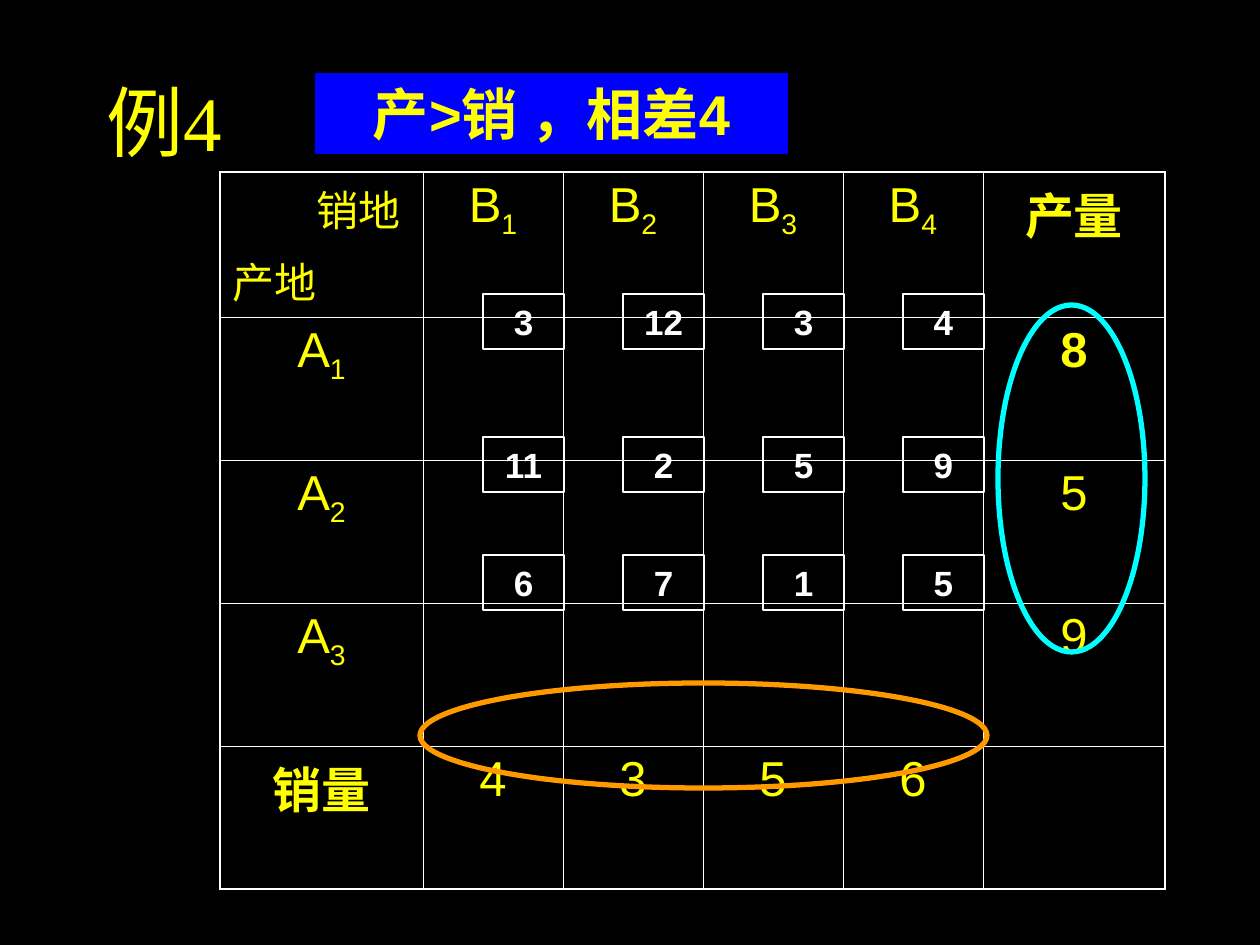
"""Build the unbalanced transportation problem slide with its cost table."""
import pptx
import pptx.dml.color
import pptx.enum.shapes
import pptx.enum.text
import pptx.oxml
import pptx.oxml.ns
import pptx.util

PX = 914400 / 126
COLORS = {"black": "000000", "white": "FFFFFF", "yellow": "FFFF00",
          "blue": "0000FF", "orange": "FF9900", "cyan": "00FFFF"}
ALIGN = pptx.enum.text.PP_ALIGN
SHAPE = pptx.enum.shapes.MSO_SHAPE


def px(*values):
    return [pptx.util.Emu(round(v * PX)) for v in values]


def write(p, text, sub="", size=28, font="Arial", color="yellow", bold=False, align=ALIGN.CENTER):
    p.alignment = align
    for part, baseline in ((text, 0), (sub, -25000)):
        if part:
            r = p.add_run()
            r.text = part
            r.font.size = pptx.util.Pt(size)
            r.font.name = font
            r.font.bold = bold
            r.font.color.rgb = pptx.dml.color.RGBColor.from_string(COLORS[color])
            if baseline:
                r.font._element.set("baseline", str(baseline))


prs = pptx.Presentation()
prs.slide_width, prs.slide_height = px(1260, 945)
s = prs.slides.add_slide(prs.slide_layouts[6])
s.background.fill.solid()
s.background.fill.fore_color.rgb = pptx.dml.color.RGBColor.from_string(COLORS["black"])

widths = [203, 140, 140, 140, 140, 182]
heights = [125, 143, 143, 143, 143]
last_row, last_col = len(heights) - 1, len(widths) - 1
table = s.shapes.add_table(len(heights), len(widths), *px(220, 172, sum(widths), sum(heights))).table
table.first_row = table.horz_banding = False
for col, width in zip(table.columns, px(*widths)):
    col.width = width
for row, height in zip(table.rows, px(*heights)):
    row.height = height

for i in range(last_row + 1):
    for j in range(last_col + 1):
        cell = table.cell(i, j)
        tcPr = cell._tc.get_or_add_tcPr()
        edges = {"L": j == 0, "R": j == last_col, "T": i == 0, "B": i == last_row}
        for side, outer in edges.items():
            width = pptx.util.Pt(1.08 if outer else 0.45)
            tcPr.append(pptx.oxml.parse_xml(
                f'<a:ln{side} {pptx.oxml.ns.nsdecls("a")} w="{width}"><a:solidFill>'
                f'<a:srgbClr val="{COLORS["white"]}"/></a:solidFill></a:ln{side}>'))
        cell.fill.background()

corner = table.cell(0, 0)
corner.margin_right = px(23)[0]
tf = corner.text_frame
write(tf.paragraphs[0], "销地", size=24, font="Times New Roman", align=ALIGN.RIGHT)
p = tf.add_paragraph()
p.space_before = pptx.util.Pt(6)
write(p, "产地", size=24, font="Times New Roman", align=ALIGN.LEFT)

for i, j, text in ((0, last_col, "产量"), (last_row, 0, "销量")):
    write(table.cell(i, j).text_frame.paragraphs[0], text, font="Times New Roman", bold=True)
for j, demand in enumerate("4356", 1):
    write(table.cell(0, j).text_frame.paragraphs[0], "B", sub=str(j))
    write(table.cell(last_row, j).text_frame.paragraphs[0], demand)
for i, supply in enumerate("859", 1):
    write(table.cell(i, 0).text_frame.paragraphs[0], "A", sub=str(i))
    write(table.cell(i, last_col).text_frame.paragraphs[0], supply, bold=i == 1)

costs = {294: (3, 12, 3, 4), 437: (11, 2, 5, 9), 555: (6, 7, 1, 5)}
group = s.shapes.add_group_shape()
for top, values in costs.items():
    for j, cost in enumerate(values):
        sp = group.shapes.add_shape(SHAPE.RECTANGLE, *px(483 + 140 * j, top, 81, 55))
        sp.shadow.inherit = False
        sp.fill.background()
        sp.line.color.rgb = pptx.dml.color.RGBColor.from_string(COLORS["white"])
        sp.line.width = pptx.util.Pt(1)
        write(sp.text_frame.paragraphs[0], str(cost), size=20, color="white", bold=True)

tf = s.shapes.add_textbox(*px(94, 42, 1071, 158)).text_frame
tf.word_wrap = True
tf.vertical_anchor = pptx.enum.text.MSO_ANCHOR.MIDDLE
write(tf.paragraphs[0], "例4", size=44, font="Times New Roman", align=ALIGN.LEFT)

for box, color in (((420, 683, 567, 105), "orange"), ((998, 305, 147, 347), "cyan")):
    sp = s.shapes.add_shape(SHAPE.OVAL, *px(*box))
    sp.shadow.inherit = False
    sp.fill.background()
    sp.line.color.rgb = pptx.dml.color.RGBColor.from_string(COLORS[color])
    sp.line.width = pptx.util.Pt(3)

sp = s.shapes.add_shape(SHAPE.RECTANGLE, *px(315, 73, 473, 81))
sp.shadow.inherit = False
sp.fill.solid()
sp.fill.fore_color.rgb = pptx.dml.color.RGBColor.from_string(COLORS["blue"])
sp.line.fill.background()
write(sp.text_frame.paragraphs[0], "产>销 ，相差4", size=32, bold=True)

prs.save("out.pptx")
